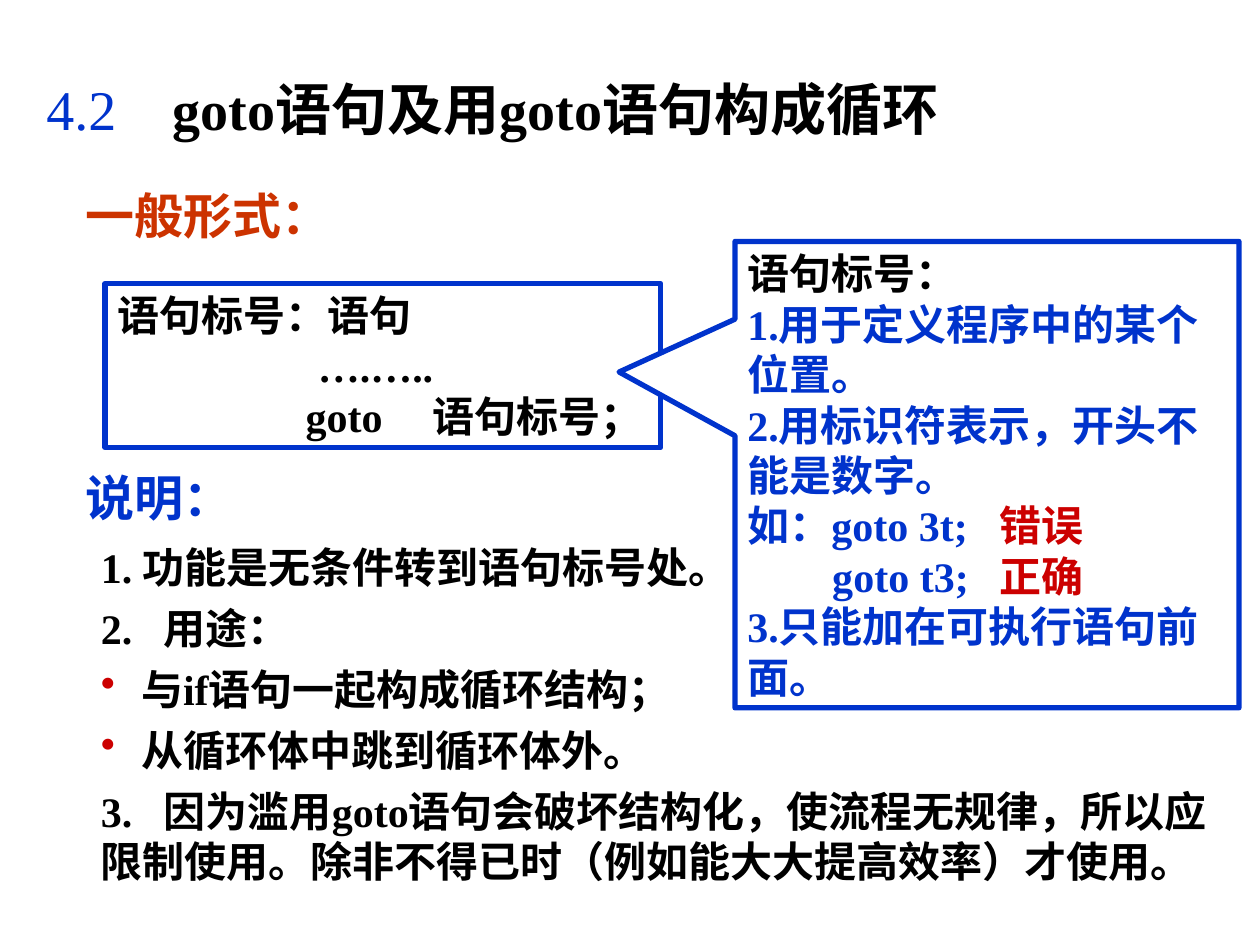
from lxml import etree
from pptx import Presentation
from pptx.dml.color import RGBColor
from pptx.enum import shapes, text
from pptx.oxml import ns
from pptx.util import Pt

HUES = {"ink": "000000", "blue": "0033CC", "rust": "CC3300",
        "red": "CC0000", "white": "FFFFFF"}


def rgb(hue):
    return RGBColor.from_string(HUES[hue])


class Deck:
    face = "Times New Roman"
    edge = 3

    def __init__(self):
        self.prs = Presentation()
        self.prs.slide_width, self.prs.slide_height = Pt(720), Pt(540)
        self.slide = self.prs.slides.add_slide(self.prs.slide_layouts[6])

    def style(self, font, size, hue, bold):
        font.name, font.size, font.bold = self.face, Pt(size), bold
        font.color.rgb = rgb(hue)

    def layout(self, para, left=0, first=0, tab=None, dot=None):
        """Set indents, one tab stop and a bullet of the given hue."""
        props = para._p.get_or_add_pPr()
        props.set("marL", str(Pt(left)))
        props.set("indent", str(Pt(first)))
        if dot:
            tint = etree.SubElement(props, ns.qn("a:buClr"))
            etree.SubElement(tint, ns.qn("a:srgbClr"), val=HUES[dot])
            etree.SubElement(props, ns.qn("a:buChar"), char="•")
        if tab:
            tabs = etree.SubElement(props, ns.qn("a:tabLst"))
            etree.SubElement(tabs, ns.qn("a:tab"), pos=str(Pt(tab)), algn="l")

    def put(self, shape, rows, size=24, gap=0, middle=False):
        """Fill a shape with rows of (runs, layout), a run being (words, hue)."""
        frame = shape.text_frame
        frame.word_wrap = True
        anchor = text.MSO_ANCHOR
        frame.vertical_anchor = anchor.MIDDLE if middle else anchor.TOP
        for i, (runs, rule) in enumerate(rows):
            para = frame.add_paragraph() if i else frame.paragraphs[0]
            para.alignment = text.PP_ALIGN.LEFT
            if i:
                para.space_before = Pt(gap)
            self.layout(para, **rule)
            self.style(para.font, size, runs[0][1], True)
            for words, hue in runs:
                run = para.add_run()
                run.text = words
                if hue != runs[0][1]:
                    run.font.color.rgb = rgb(hue)

    def label(self, box, rows, **look):
        shape = self.slide.shapes.add_textbox(*map(Pt, box))
        self.put(shape, rows, **look)
        return shape

    def head(self, box, words, hue):
        shape = self.label(box, [row(words, hue)], size=28)
        shape.text_frame.paragraphs[0].line_spacing = 0.8

    def frame(self, kind, box, rows, fill=None, tip=(), **look):
        shape = self.slide.shapes.add_shape(kind, *map(Pt, box))
        shape.shadow.inherit = False
        if fill:
            shape.fill.solid()
            shape.fill.fore_color.rgb = rgb(fill)
        else:
            shape.fill.background()
        shape.line.color.rgb = rgb("blue")
        shape.line.width = Pt(self.edge)
        for i, value in enumerate(tip):
            shape.adjustments[i] = value
        self.put(shape, rows, **look)


def row(words, hue="ink", **rule):
    return [(words, hue)], rule


def main():
    deck = Deck()
    title = deck.label((19.5, 31.5, 648, 60), [
        ([("4.2\t", "blue"), ("goto语句及用goto语句构成循环", "ink")],
         {"tab": 60})], size=32, middle=True)
    title.text_frame.paragraphs[0].runs[0].font.bold = False

    deck.head((42, 109, 233, 34.5), "一般形式：", "rust")
    deck.frame(shapes.MSO_SHAPE.RECTANGLE, (60, 162, 317.5, 93.75), [
        row("语句标号：语句"),
        row("….…..", first=114.5),
        row("goto\t语句标号；", first=107.5, tab=176)])

    deck.label((50.5, 306, 651.5, 204.5), [
        row("1. 功能是无条件转到语句标号处。"),
        row("2.\t用途：", tab=35.5),
        row("与if语句一起构成循环结构；", left=23, first=-23, dot="red"),
        row("从循环体中跳到循环体外。", left=23, first=-23, dot="red"),
        row("3.\t因为滥用goto语句会破坏结构化，使流程无规律，所以应限制使用。"
            "除非不得已时（例如能大大提高效率）才使用。", tab=35.5)], gap=6)
    deck.head((42, 270, 148.5, 34.5), "说明：", "blue")

    deck.frame(shapes.MSO_SHAPE.RECTANGULAR_CALLOUT, (420, 138, 288, 266.5), [
        row("语句标号："),
        row("1.用于定义程序中的某个位置。", "blue"),
        row("2.用标识符表示，开头不能是数字。", "blue"),
        ([("如：goto 3t;\t", "blue"), ("错误", "red")], {"tab": 156}),
        ([("goto t3;\t", "blue"), ("正确", "red")],
         {"first": 48.5, "tab": 150}),
        row("3.只能加在可执行语句前面。", "blue")],
        fill="white", tip=(-0.73, -0.22), middle=True)
    deck.prs.save("out.pptx")


if __name__ == "__main__":
    main()
